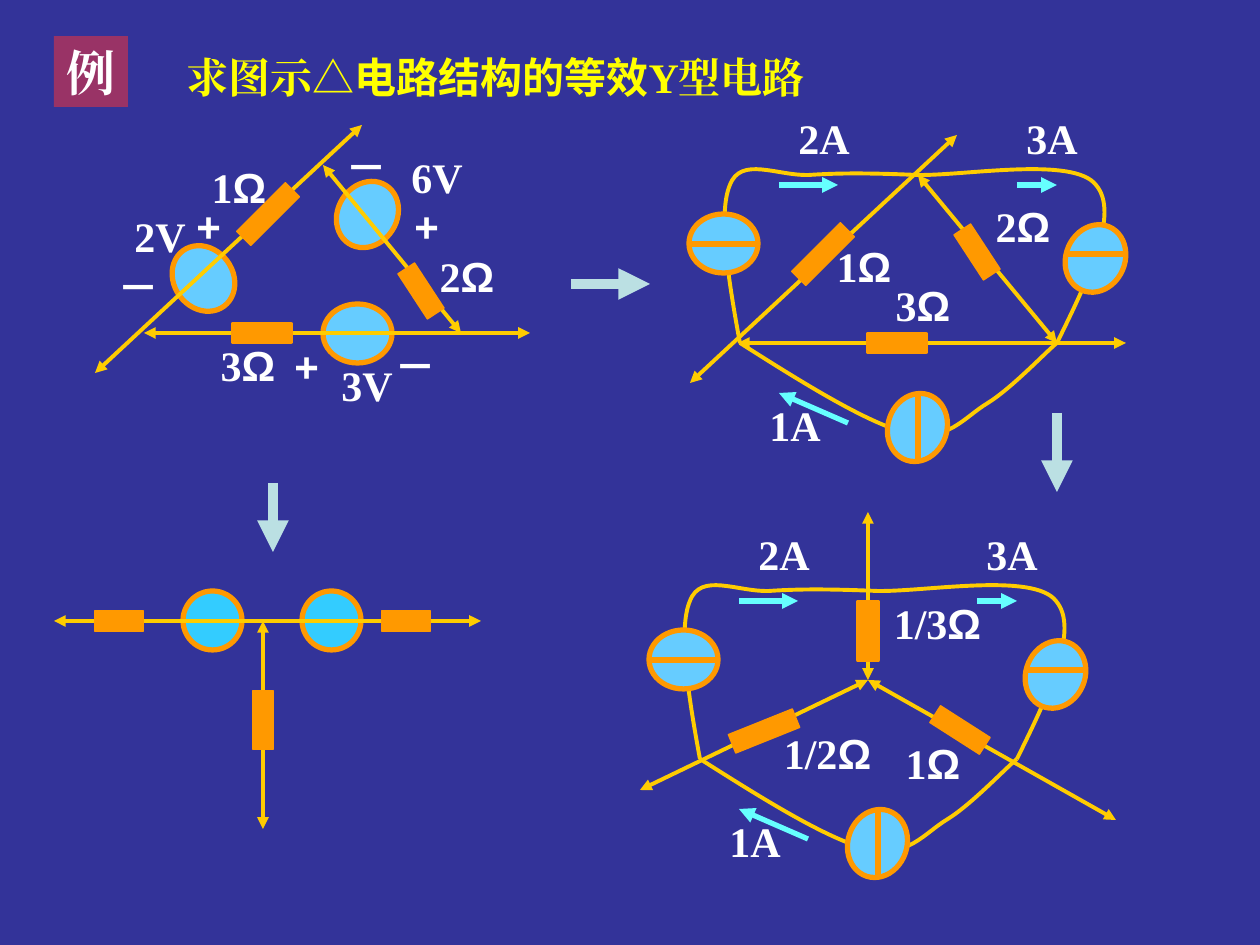
"""Build the slide on converting a delta circuit into an equivalent Y circuit."""
from lxml.etree import SubElement
from pptx import Presentation
from pptx.dml.color import RGBColor
from pptx.enum.shapes import MSO_CONNECTOR, MSO_SHAPE
from pptx.enum.text import MSO_ANCHOR, MSO_AUTO_SIZE, PP_ALIGN
from pptx.oxml.ns import qn
from pptx.util import Pt

SCALE = 914400 / 126
COLORS = {
    "background": "333399", "badge": "993366", "step": "BBE0E3", "source": "66CCFF",
    "star_source": "33CCFF", "orange": "FF9900", "wire": "FFCC00", "current": "66FFFF",
    "text": "FFFFFF", "title": "FFFF00",
}
SERIF, SANS, CHINESE = "Times New Roman", "Arial", "Noto Sans CJK SC"
TITLE = [("求图示△", SERIF), ("电路结构的等效", CHINESE), ("Y型电路", SERIF)]

STEPS = [(571, 284, 650, 284), (273, 483, 273, 552), (1057, 413, 1057, 492)]

VOLTAGE_DELTA = {
    "sources": [(333, 185, 69, 59, 302.9), (323, 304, 69, 59, 0), (174, 244, 59, 69, 323.4)],
    "wires": [(144, 333, 530, 333), (362, 125, 95, 373), (323, 165, 461, 333)],
    "resistors": [(262, 333, 59, 18, 0, 2.25), (268, 214, 69, 20, 135, 0.75),
                  (421, 291, 54, 20, 56.8, 0.75)],
    "labels": [("2Ω", 412, 244, 110), ("3V", 312, 353, 110), ("3Ω", 193, 333, 110),
               ("1Ω", 184, 155, 110), ("6V", 382, 145, 110), ("2V", 105, 204, 110)],
}
SIGNS = [("+", 402, 194), ("+", 282, 334), ("+", 184, 194),
         ("－", 333, 135), ("－", 382, 334), ("－", 105, 255)]

SERIES_STAR = {
    "sources": [(302, 591, 59, 59, 0), (183, 591, 59, 59, 0)],
    "wires": [(54, 621, 481, 621), (263, 621, 263, 829)],
    "resistors": [(263, 720, 59, 20, 90, 0.75), (119, 621, 49, 20, 0, 0.75),
                  (406, 621, 49, 20, 0, 0.75)],
    "labels": [],
}
CURRENT_DELTA = {
    "sources": [],
    "wires": [(738, 343, 1126, 343), (957, 135, 690, 383), (918, 175, 1057, 343)],
    "resistors": [(897, 343, 59, 18, 0, 2.25), (823, 254, 69, 20, 135, 0.75),
                  (977, 252, 54, 20, 56.8, 0.75)],
    "labels": [("2Ω", 968, 194, 110), ("3Ω", 868, 273, 110), ("1Ω", 809, 234, 110)],
}
CURRENT_STAR = {
    "sources": [],
    "wires": [(868, 512, 868, 680), (868, 680, 640, 790), (868, 680, 1116, 820)],
    "resistors": [(868, 631, 59, 20, 90, 2.25), (764, 731, 69, 20, 158.1, 0.75),
                  (960, 730, 59, 20, 32.6, 0.75)],
    "labels": [("1/2Ω", 748, 721, 159), ("1Ω", 878, 731, 110), ("1/3Ω", 868, 591, 139)],
}

RING_CURVES = [
    [(740, 343), (803, 383), (867, 423), (907, 433), (949, 442), (963, 418), (988, 403),
     (1012, 388), (1045, 353), (1057, 343)],
    [(740, 343), (728, 278), (718, 213), (730, 185), (741, 156), (777, 176), (809, 175),
     (839, 173), (869, 173), (917, 175), (965, 176), (1074, 156), (1096, 185),
     (1120, 213), (1089, 278), (1057, 343)],
]
RING_SOURCES = [(883, 398, 69, 59, 288.6), (689, 214, 69, 59, 0), (1066, 224, 59, 69, 23.6)]
RING_BARS = [(918, 393, 918, 463), (689, 244, 759, 244), (1067, 254, 1127, 254)]
RING_CURRENTS = [(848, 423, 779, 393), (779, 185, 838, 185), (1017, 185, 1057, 185)]
RING_LABELS = [("3A", 997, 106), ("2A", 769, 106), ("1A", 740, 393)]
RING_SHIFTS = {"delta": (0, 0), "star": (-40, 416)}


def emu(*lengths):
    return [round(length * SCALE) for length in lengths]


def color(name):
    return RGBColor.from_string(COLORS[name])


def write(shape, runs, size=24, fill="text", align=PP_ALIGN.LEFT, anchor=MSO_ANCHOR.TOP, wrap=True):
    frame = shape.text_frame
    frame.word_wrap, frame.auto_size, frame.vertical_anchor = wrap, MSO_AUTO_SIZE.NONE, anchor
    paragraph = frame.paragraphs[0]
    paragraph.alignment = align
    for text, typeface in runs:
        run = paragraph.add_run()
        run.text = text
        font = run.font
        font.name, font.size, font.bold = typeface, Pt(size), True
        font.color.rgb = color(fill)
        SubElement(font._element, qn("a:ea"), typeface=typeface)


def add_label(slide, text, left, top, width):
    box = slide.shapes.add_textbox(*emu(left, top, width, 63))
    runs = [(text.rstrip("Ω"), SERIF)] + ([("Ω", SANS)] if "Ω" in text else [])
    write(box, runs, align=PP_ALIGN.CENTER, anchor=MSO_ANCHOR.MIDDLE)


def add_shape(slide, kind, left, top, width, height, angle=0, fill="orange", line="orange", weight=3):
    shape = slide.shapes.add_shape(kind, *emu(left, top, width, height))
    shape.shadow.inherit = False
    shape.rotation = angle
    shape.fill.solid()
    shape.fill.fore_color.rgb = color(fill)
    if line:
        shape.line.color.rgb = color(line)
        shape.line.width = Pt(weight)
    else:
        shape.line.fill.background()
    return shape


def add_line(slide, ends, stroke, weight, heads=()):
    line = slide.shapes.add_connector(MSO_CONNECTOR.STRAIGHT, *emu(*ends))
    line.line.color.rgb = color(stroke)
    line.line.width = Pt(weight)
    outline = line.line._get_or_add_ln()
    for head in heads:
        SubElement(outline, qn(f"a:{head}"), type="triangle")
    SubElement(line._element.spPr, qn("a:effectLst"))


def add_curve(slide, points):
    builder = slide.shapes.build_freeform(*points[0], scale=SCALE)
    builder.add_line_segments(points[1:], close=False)
    curve = builder.convert_to_shape()
    curve.shadow.inherit = False
    curve.fill.background()
    curve.line.color.rgb = color("wire")
    curve.line.width = Pt(2.25)
    segments = list(curve._element.iter(qn("a:lnTo")))
    outline = segments[0].getparent()
    for start in range(0, len(segments), 3):
        bezier = SubElement(outline, qn("a:cubicBezTo"))
        for segment in segments[start:start + 3]:
            bezier.append(segment[0])
            outline.remove(segment)


def add_circuit(slide, circuit, source_fill="source"):
    for source in circuit["sources"]:
        add_shape(slide, MSO_SHAPE.OVAL, *source, fill=source_fill)
    for wire in circuit["wires"]:
        add_line(slide, wire, "wire", 2.25, ("headEnd", "tailEnd"))
    for x, y, length, thickness, angle, weight in circuit["resistors"]:
        add_shape(slide, MSO_SHAPE.RECTANGLE, x - length / 2, y - thickness / 2,
                  length, thickness, angle, weight=weight)
    for label in circuit["labels"]:
        add_label(slide, *label)


def add_ring(slide, dx, dy):
    for points in RING_CURVES:
        add_curve(slide, [(x + dx, y + dy) for x, y in points])
    for (x, y, width, height, angle), bar in zip(RING_SOURCES, RING_BARS):
        add_shape(slide, MSO_SHAPE.OVAL, x + dx, y + dy, width, height, angle, fill="source")
        add_line(slide, shift(bar, dx, dy), "orange", 3)
    for current in RING_CURRENTS:
        add_line(slide, shift(current, dx, dy), "current", 3, ("tailEnd",))
    for text, x, y in RING_LABELS:
        add_label(slide, text, x + dx, y + dy, 110)


def shift(ends, dx, dy):
    return [value + offset for value, offset in zip(ends, (dx, dy, dx, dy))]


def main():
    presentation = Presentation()
    presentation.slide_width, presentation.slide_height = emu(1260, 945)
    slide = presentation.slides.add_slide(presentation.slide_layouts[5])
    slide.background.fill.solid()
    slide.background.fill.fore_color.rgb = color("background")

    title = slide.shapes.title
    title.left, title.top, title.width, title.height = emu(174, 45, 650, 113)
    write(title, TITLE, fill="title")
    badge = add_shape(slide, MSO_SHAPE.RECTANGLE, 54, 36, 74, 71, fill="badge", line=None)
    write(badge, [("例", SERIF)], size=28, wrap=False)

    for step in STEPS:
        add_line(slide, step, "step", 6, ("tailEnd",))
    add_circuit(slide, VOLTAGE_DELTA)
    for sign, left, top in SIGNS:
        write(slide.shapes.add_textbox(*emu(left, top, 59, 63)), [(sign, SANS)])
    add_circuit(slide, SERIES_STAR, "star_source")
    add_circuit(slide, CURRENT_DELTA)
    add_ring(slide, *RING_SHIFTS["delta"])
    add_ring(slide, *RING_SHIFTS["star"])
    add_circuit(slide, CURRENT_STAR)
    presentation.save("out.pptx")


if __name__ == "__main__":
    main()
